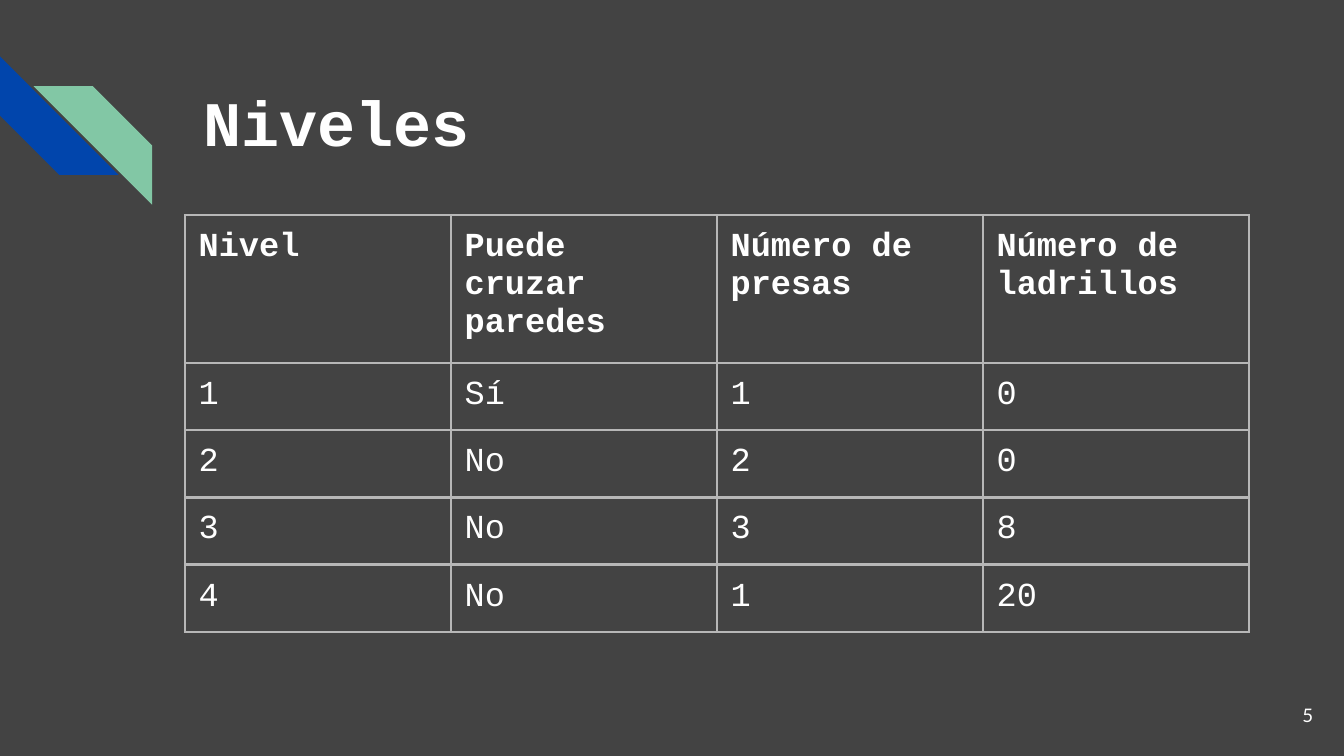
import pptx
import pptx.dml.color
import pptx.enum.shapes
import pptx.enum.text
import pptx.oxml
import pptx.oxml.ns
import pptx.util

Pt = pptx.util.Pt
RGB = pptx.dml.color.RGBColor
ALIGN = pptx.enum.text.PP_ALIGN
ANCHOR = pptx.enum.text.MSO_ANCHOR

GREY = RGB(0x43, 0x43, 0x43)
BLUE = RGB(0x01, 0x45, 0xAC)
GREEN = RGB(0x82, 0xC7, 0xA5)
WHITE = RGB(0xFF, 0xFF, 0xFF)
RULE = RGB(0xB7, 0xB7, 0xB7)

MONO = "Courier New"
INSET = 7.2
ROWS = [
    ["Nivel", "Puede cruzar paredes", "Número de presas", "Número de ladrillos"],
    ["1", "Sí", "1", "0"],
    ["2", "No", "2", "0"],
    ["3", "No", "3", "8"],
    ["4", "No", "1", "20"],
]


def add_run(para, text, size, font=MONO, bold=False):
    run = para.add_run()
    run.text = text
    run.font.size = Pt(size)
    run.font.name = font
    run.font.bold = bold
    run.font.color.rgb = WHITE


def add_label(slide, box, text, size, font, bold=False,
              align=ALIGN.LEFT, anchor=ANCHOR.TOP, gap=1.0):
    frame = slide.shapes.add_textbox(*map(Pt, box)).text_frame
    frame.word_wrap = True
    frame.vertical_anchor = anchor
    frame.margin_left = frame.margin_right = Pt(INSET)
    frame.margin_top = frame.margin_bottom = Pt(INSET)
    para = frame.paragraphs[0]
    para.alignment = align
    para.line_spacing = gap
    add_run(para, text, size, font, bold)


def add_stripes(slide, box):
    """Two diagonal bands, one at each end of the box."""
    left, top, width, height = box
    side = 63.5
    bands = [
        (left, top, 270, BLUE),
        (left + width - side, top + height - side, 90, GREEN),
    ]
    for x, y, turn, color in bands:
        band = slide.shapes.add_shape(
            pptx.enum.shapes.MSO_SHAPE.DIAGONAL_STRIPE,
            Pt(x), Pt(y), Pt(side), Pt(side))
        band.rotation = turn
        band.shadow.inherit = False
        band.fill.solid()
        band.fill.fore_color.rgb = color
        band.line.fill.background()


def set_edges(cell):
    props = cell._tc.get_or_add_tcPr()
    # Borders come before the fill in the cell properties
    for spot, side in enumerate(("lnL", "lnR", "lnT", "lnB")):
        props.insert(spot, pptx.oxml.parse_xml(
            f'<a:{side} {pptx.oxml.ns.nsdecls("a")} w="{Pt(1.5)}">'
            f'<a:solidFill><a:srgbClr val="{RULE}"/></a:solidFill>'
            f'</a:{side}>'))


def add_grid(slide, box):
    """Table of levels with a tall header row."""
    left, top, width, height = box
    head = 76
    table = slide.shapes.add_table(
        len(ROWS), len(ROWS[0]), *map(Pt, box)).table
    table.horz_banding = False
    for col in table.columns:
        col.width = Pt(width / len(ROWS[0]))
    for r, texts in enumerate(ROWS):
        table.rows[r].height = Pt(
            (height - head) / (len(ROWS) - 1) if r else head)
        for c, text in enumerate(texts):
            cell = table.cell(r, c)
            cell.fill.background()
            cell.margin_left = cell.margin_right = Pt(INSET)
            cell.margin_top = cell.margin_bottom = Pt(INSET)
            add_run(cell.text_frame.paragraphs[0], text, 18, bold=r == 0)
            set_edges(cell)


def add_levels(deck, box):
    """Whole slide, with its parts placed from the corner of the box."""
    left, top, width, height = box
    slide = deck.slides.add_slide(deck.slide_layouts[6])
    slide.background.fill.solid()
    slide.background.fill.fore_color.rgb = GREY

    # Corner motif
    add_stripes(slide, (left, top + 30.2, 81.5, 79.5))
    # Title
    add_label(slide, (left + 102.2, top + 31, 554.4, 72),
              "Niveles", 34, MONO, bold=True, gap=1.15)
    # Slide number
    add_label(slide, (left + width - 52.6, top + height - 37.4, 43.2, 31),
              "5", 10, "Lato", align=ALIGN.RIGHT, anchor=ANCHOR.MIDDLE)
    # Levels
    add_grid(slide, (left + 99.2, top + 115.2, 570, 214.8))


def main():
    deck = pptx.Presentation()
    deck.slide_width, deck.slide_height = Pt(720), Pt(405)
    add_levels(deck, (0, 0, 720, 405))
    deck.save("out.pptx")


if __name__ == "__main__":
    main()
